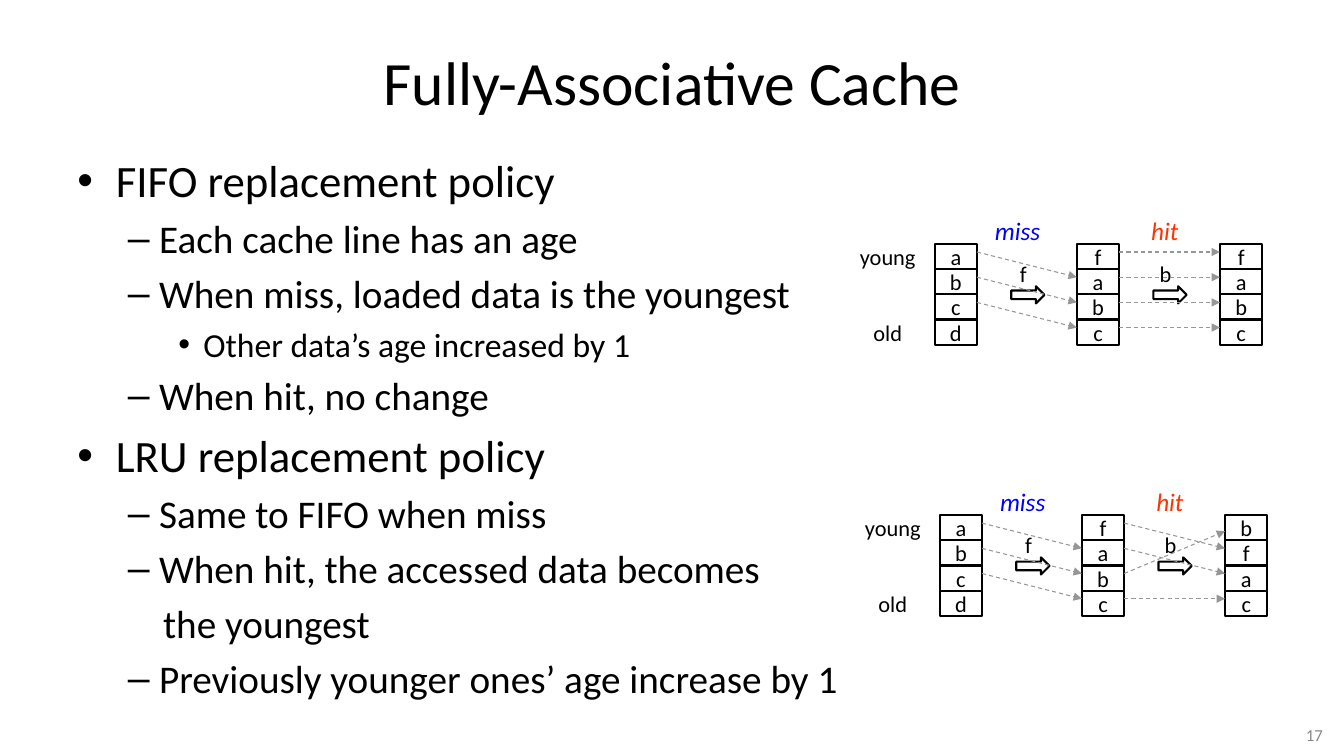
from lxml.etree import SubElement
from pptx import Presentation
from pptx.dml.color import RGBColor
from pptx.enum.dml import MSO_LINE
from pptx.enum.shapes import MSO_CONNECTOR, MSO_SHAPE
from pptx.enum.text import MSO_ANCHOR as ANCHOR, PP_ALIGN as ALIGN
from pptx.oxml.ns import qn
from pptx.util import Pt

PX = 9144
BLACK, WHITE, GREY = "000000", "FFFFFF", "969696"
ROW, CELL_WIDTH = 25, 42
STACKS = (59, 200, 342)
LEVELS = {0: (32, 38, -38, "•"), 1: (28, 81, -31, "–"),
          2: (24, 125, -25, "•"), "continued": (28, 85, 0, None)}
BULLETS = [
    (0, "FIFO replacement policy"),
    (1, "Each cache line has an age"),
    (1, "When miss, loaded data is the youngest"),
    (2, "Other data’s age increased by 1"),
    (1, "When hit, no change"),
    (0, "LRU replacement policy"),
    (1, "Same to FIFO when miss"),
    (1, "When hit, the accessed data becomes"),
    ("continued", "the youngest"),
    (1, "Previously younger ones’ age increase by 1"),
]
MISS_MOVES = [(0, 1), (1, 2), (2, 3)]
FIFO_HIT_MOVES = [(0, 0), (1, 1), (2, 2), (3, 3)]
LRU_HIT_MOVES = [(0, 1), (1, 2), (2, 0), (3, 3)]


def color(code):
    """Turn a hex string into a colour."""
    return RGBColor.from_string(code)


def write(para, text, size=16, ink=BLACK, italic=False, align=ALIGN.LEFT):
    """Put formatted text into a paragraph."""
    para.alignment = align
    span = para.add_run()
    span.text = text
    span.font.name = "Calibri"
    span.font.size = Pt(size)
    span.font.italic = italic
    span.font.color.rgb = color(ink)


def add_text(page, left, top, width, height, anchor=ANCHOR.TOP):
    """Add a wrapping text box and return its frame."""
    box = page.shapes.add_textbox(left * PX, top * PX, width * PX, height * PX)
    frame = box.text_frame
    frame.word_wrap = True
    frame.vertical_anchor = anchor
    return frame


def add_block(page, left, top, width, height, text="", outlined=True,
              kind=MSO_SHAPE.RECTANGLE):
    """Add a white shape with optional outline and centred text."""
    block = page.shapes.add_shape(kind, left * PX, top * PX, width * PX, height * PX)
    block.shadow.inherit = False
    block.fill.solid()
    block.fill.fore_color.rgb = color(WHITE)
    if outlined:
        block.line.color.rgb = color(BLACK)
        block.line.width = Pt(1.5)
    else:
        block.line.fill.background()
    if text:
        frame = block.text_frame
        frame.word_wrap = False
        frame.vertical_anchor = ANCHOR.MIDDLE
        write(frame.paragraphs[0], text, align=ALIGN.CENTER)


def add_move(page, start_x, start_y, end_x, end_y):
    """Draw a dashed grey arrow between two stacks."""
    move = page.shapes.add_connector(MSO_CONNECTOR.STRAIGHT, start_x * PX,
                                     start_y * PX, end_x * PX, end_y * PX)
    move.line.color.rgb = color(GREY)
    move.line.width = Pt(0.75)
    move.line.dash_style = MSO_LINE.DASH
    SubElement(move.line._get_or_add_ln(), qn("a:tailEnd"), type="triangle")
    SubElement(move._element.spPr, qn("a:effectLst"))


def add_title(page, left, top, width, height):
    """Add the centred slide title."""
    frame = add_text(page, left, top, width, height, ANCHOR.MIDDLE)
    write(frame.paragraphs[0], "Fully-Associative Cache", size=44, align=ALIGN.CENTER)


def add_bullets(page, left, top, width, height):
    """Add the bulleted policy outline."""
    frame = add_text(page, left, top, width, height)
    for index, (level, text) in enumerate(BULLETS):
        para = frame.add_paragraph() if index else frame.paragraphs[0]
        size, margin, indent, mark = LEVELS[level]
        write(para, text, size=size)
        props = para._p.get_or_add_pPr()
        props.set("marL", str(margin * PX))
        props.set("indent", str(indent * PX))
        before = SubElement(props, qn("a:spcBef"))
        SubElement(before, qn("a:spcPct"), val="20000")
        if mark:
            SubElement(props, qn("a:buFont"), typeface="Arial")
            SubElement(props, qn("a:buChar"), char=mark)


def add_step(page, left, top, caption, ink, offset, width, request):
    """Add a coloured caption, the requested letter and a block arrow."""
    frame = add_text(page, left + offset, top, width, 40)
    write(frame.paragraphs[0], caption, size=18, ink=ink, italic=True)
    add_block(page, left + 34, top + 75, 33, 17, kind=MSO_SHAPE.RIGHT_ARROW)
    add_block(page, left + 42, top + 50, 8, ROW, request, outlined=False)


def add_cache(page, left, top, states, hit_moves):
    """Add three cache states with the miss and hit steps between them."""
    first_row = top + 33
    for text, row in (("young", 0), ("old", 3)):
        add_block(page, left, first_row + row * ROW, 25, ROW, text, outlined=False)
    for offset, state in zip(STACKS, states):
        for row, data in enumerate(state):
            add_block(page, left + offset, first_row + row * ROW, CELL_WIDTH, ROW, data)
    add_step(page, left + STACKS[0] + CELL_WIDTH, top, "miss", "0000FF", 8, 77, "f")
    add_step(page, left + STACKS[1] + CELL_WIDTH, top, "hit", "FF3300", 22, 53, "b")
    for start, end, moves in zip(STACKS, STACKS[1:], (MISS_MOVES, hit_moves)):
        for source, target in moves:
            drop = 16 if target < source else 8
            add_move(page, left + start + CELL_WIDTH, first_row + source * ROW + 8,
                     left + end, first_row + target * ROW + drop)


def add_number(page, left, top, width, height):
    """Add the page number."""
    frame = add_text(page, left, top, width, height, ANCHOR.MIDDLE)
    write(frame.paragraphs[0], "17", size=12, ink="898989", align=ALIGN.RIGHT)


def main():
    """Build and save the slide."""
    deck = Presentation()
    deck.slide_width, deck.slide_height = 1333 * PX, 750 * PX
    page = deck.slides.add_slide(deck.slide_layouts[6])
    add_title(page, 67, 30, 1200, 101)
    add_bullets(page, 67, 147, 1200, 551)
    add_number(page, 1179, 714, 143, 29)
    add_cache(page, 868, 209, ("abcd", "fabc", "fabc"), FIFO_HIT_MOVES)
    add_cache(page, 873, 478, ("abcd", "fabc", "bfac"), LRU_HIT_MOVES)
    deck.save("out.pptx")


if __name__ == "__main__":
    main()
